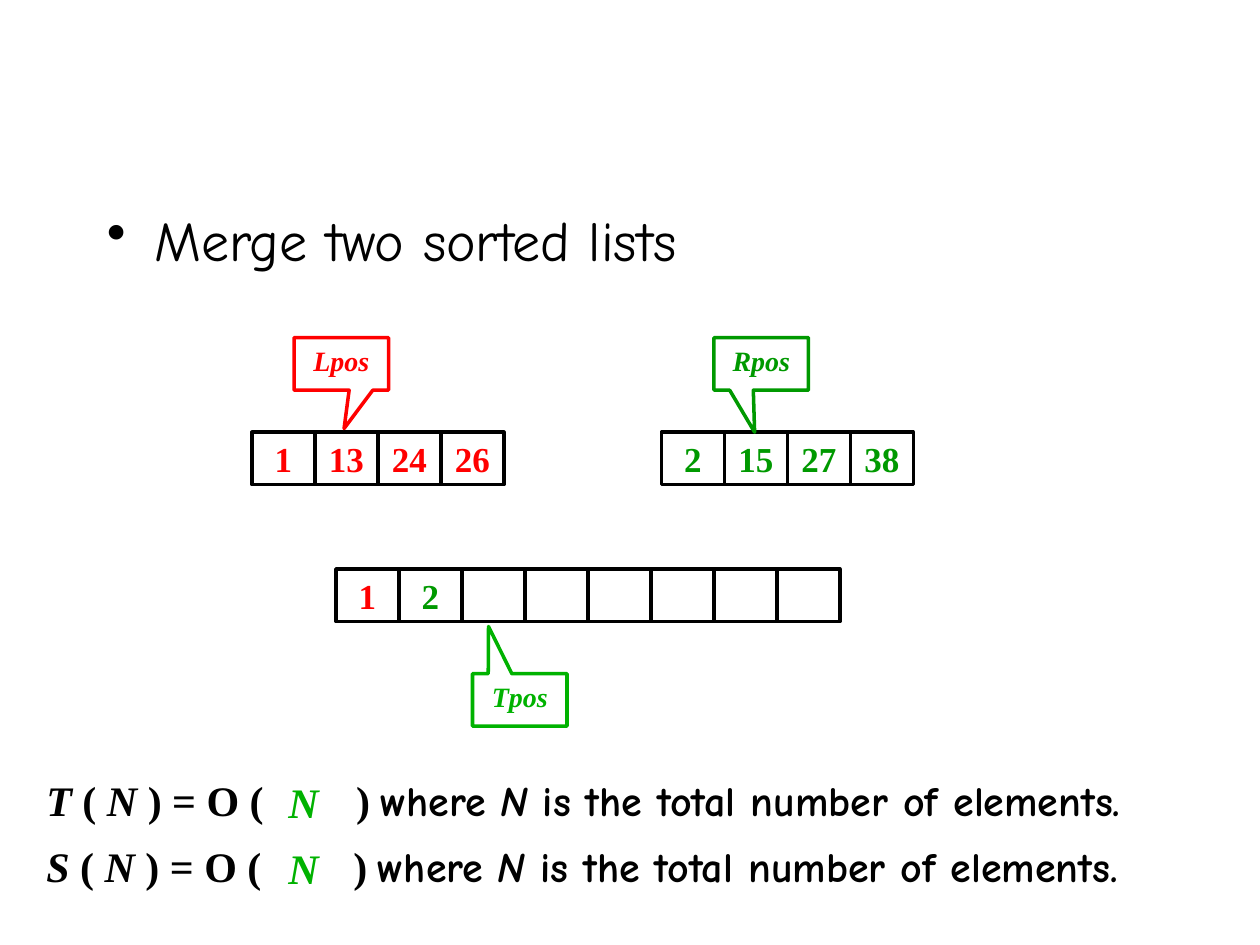
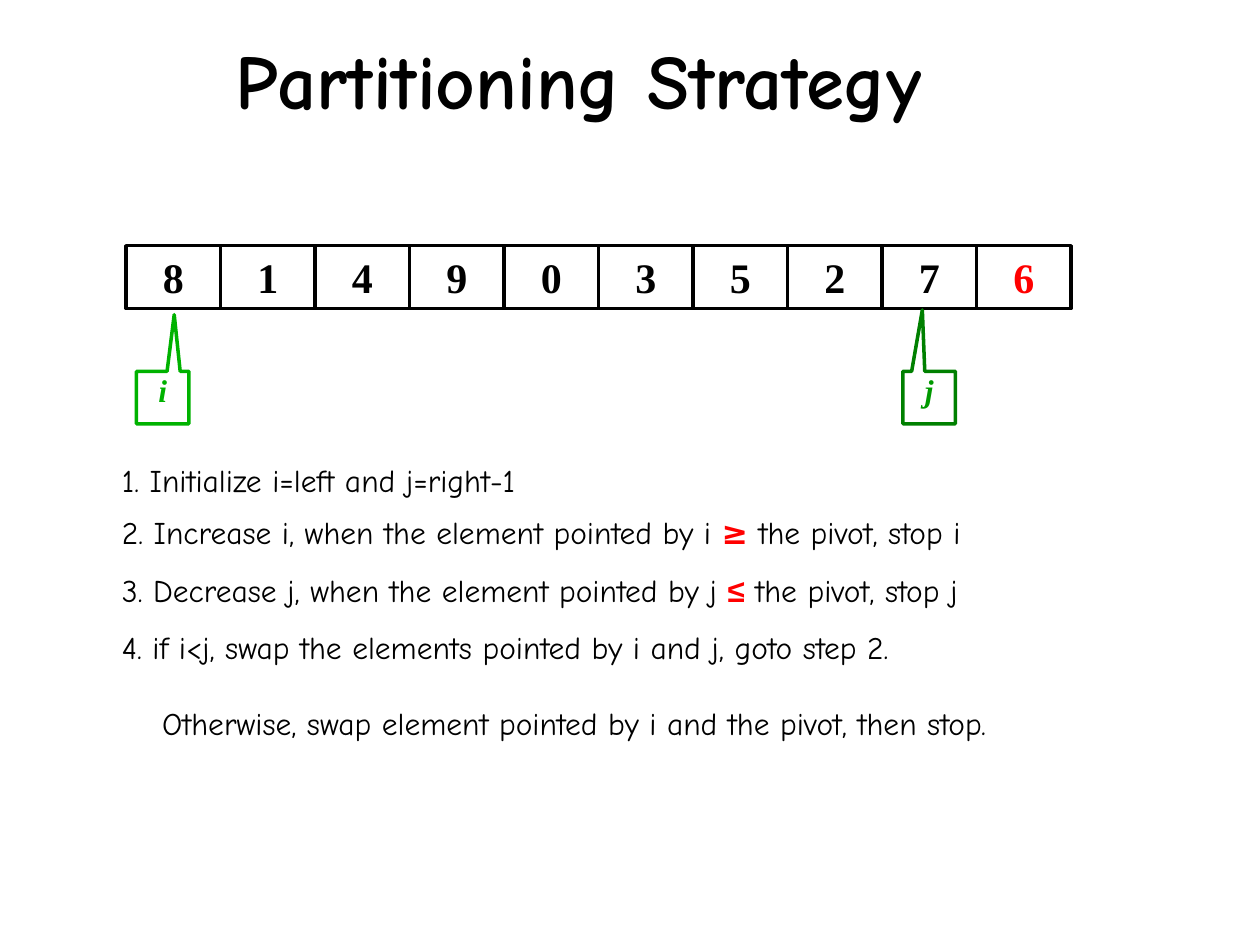
from lxml import etree
from pptx import Presentation
from pptx.dml.color import RGBColor
from pptx.enum import shapes, text
from pptx.oxml import ns
from pptx.util import Pt

COMIC, TIMES = "Comic Neue", "Times New Roman"
BLACK, RED, GREEN, BRIGHT, DARK = "000000", "FF0000", "009900", "00B200", "008000"
RECT = shapes.MSO_SHAPE.RECTANGLE
CALLOUT = shapes.MSO_SHAPE.RECTANGULAR_CALLOUT


def add_span(para, words, font=TIMES, size=24, color=BLACK, bold=False, italic=False):
    span = para.add_run()
    span.text = words
    span.font.name, span.font.size = font, Pt(size)
    span.font.bold, span.font.italic = bold, italic
    span.font.color.rgb = RGBColor.from_string(color)


def add_box(parent, area, kind=None, line=BLACK, margins=(7.2, 3.6, 7.2, 3.6),
            middle=False, wrap=True):
    area = [Pt(length) for length in area]
    if kind is None:
        box = parent.shapes.add_textbox(*area)
    else:
        box = parent.shapes.add_shape(kind, *area)
        box.shadow.inherit = False
        box.fill.background()
        box.line.color.rgb = RGBColor.from_string(line)
        box.line.width = Pt(2)
    frame = box.text_frame
    frame.word_wrap = wrap
    frame.vertical_anchor = text.MSO_ANCHOR.MIDDLE if middle else text.MSO_ANCHOR.TOP
    frame.margin_left, frame.margin_top, frame.margin_right, frame.margin_bottom = map(Pt, margins)
    para = frame.paragraphs[0]
    para.alignment = text.PP_ALIGN.LEFT if kind is None else text.PP_ALIGN.CENTER
    return box, para


deck = Presentation()
deck.slide_width, deck.slide_height = Pt(720), Pt(540)
merge_page, partition_page = [deck.slides.add_slide(deck.slide_layouts[6]) for _ in range(2)]

box, para = add_box(merge_page, (54, 114, 606, 288))
properties = para._p.get_or_add_pPr()
properties.set("marL", str(Pt(27)))
properties.set("indent", str(-Pt(27)))
etree.SubElement(properties, ns.qn("a:buChar"), char="•")
add_span(para, "Merge two sorted lists", font=COMIC, size=32)

arrays = [
    (merge_page, 144, 247, 36, 30, 20, ["1", "13", "24", "26"], [RED] * 4),
    (merge_page, 378, 247, 36, 30, 20, ["2", "15", "27", "38"], [GREEN] * 4),
    (merge_page, 192, 325.2, 36, 30, 20, ["1", "2"] + [""] * 6, [RED, GREEN] + [BLACK] * 6),
    (partition_page, 72, 140.4, 54, 36, 24, list("8149035276"), [BLACK] * 9 + [RED]),
]
for page, left, top, width, height, size, values, colors in arrays:
    group = page.shapes.add_group_shape()
    for index, (value, color) in enumerate(zip(values, colors)):
        area = (left + index * width, top, width, height)
        box, para = add_box(group, area, RECT, middle=True, wrap=False)
        if value:
            add_span(para, value, size=size, color=color, bold=True)

list_margins, index_margins = (1.44, 3.6, 1.44, 3.6), (7.2, 0, 7.2, 3.6)
pointers = [
    (merge_page, "Lpos", (168, 193, 54, 30), (0.03, 1.23), RED, RED, 16, list_margins),
    (merge_page, "Rpos", (408, 193, 54, 30), (-0.07, 1.3), GREEN, GREEN, 16, list_margins),
    (merge_page, "Tpos", (270, 385, 54, 30), (-0.33, -1.4), BRIGHT, BRIGHT, 16, list_margins),
    (partition_page, "i", (78, 212.2, 30, 30), (0.22, -1.58), BRIGHT, BRIGHT, 18, index_margins),
    (partition_page, "j", (516, 212.2, 30, 30), (-0.13, -1.67), DARK, GREEN, 18, index_margins),
]
for page, name, area, tip, line, color, size, margins in pointers:
    box, para = add_box(page, area, CALLOUT, line=line, margins=margins)
    box.adjustments[0], box.adjustments[1] = tip
    add_span(para, name, size=size, color=color, bold=True, italic=True)

for measure, top, stop in [("T ", 439.2, 177), ("S ", 476.8, 175.5)]:
    box, para = add_box(merge_page, (19.4, top, 692, 40))
    tabs = etree.SubElement(para._p.get_or_add_pPr(), ns.qn("a:tabLst"))
    etree.SubElement(tabs, ns.qn("a:tab"), pos=str(Pt(stop)), algn="l")
    for words, font, italic in [
        (measure, TIMES, True), ("( ", TIMES, False), ("N ", TIMES, True),
        (") = O (\t) ", TIMES, False), ("where ", COMIC, False), ("N", COMIC, True),
        (" is the total number of elements.", COMIC, False),
    ]:
        add_span(para, words, font=font, bold=True, italic=italic)
    box, para = add_box(merge_page, (157.7, top + 1, 31.7, 36), wrap=False)
    add_span(para, "N", color=BRIGHT, bold=True, italic=True)

box, para = add_box(partition_page, (115.2, 15.1, 556.6, 60.5), margins=(19.2, 3.6, 7.2, 3.6))
add_span(para, "Partitioning Strategy", font=COMIC, size=44, bold=True)

steps = [
    (260, 28.8, "1. Initialize i=left and j=right-1", "", COMIC, ""),
    (289.5, 28.8, "2. Increase i, when the element pointed by i ", "≥", COMIC, " the pivot, stop i"),
    (322.5, 28.8, "3. Decrease j, when the element pointed by j ", "≤", "Arial", " the pivot, stop j"),
    (355.2, 93.6, "4. if i<j, swap the elements pointed by i and j, goto step 2.", "", COMIC, ""),
]
for top, height, words, sign, sign_font, ending in steps:
    box, para = add_box(partition_page, (62.6, top, 560, height))
    add_span(para, words, font=COMIC, size=18)
    if sign:
        add_span(para, sign, font=sign_font, size=18, color=RED, bold=True)
        add_span(para, ending, font=COMIC, size=18)

para = box.text_frame.add_paragraph()
para._p.get_or_add_pPr().set("marL", str(Pt(23)))
para.space_before = Pt(21.7)
add_span(para, "Otherwise, swap element pointed by i and the pivot, then stop.", font=COMIC, size=18)

deck.save("out.pptx")
